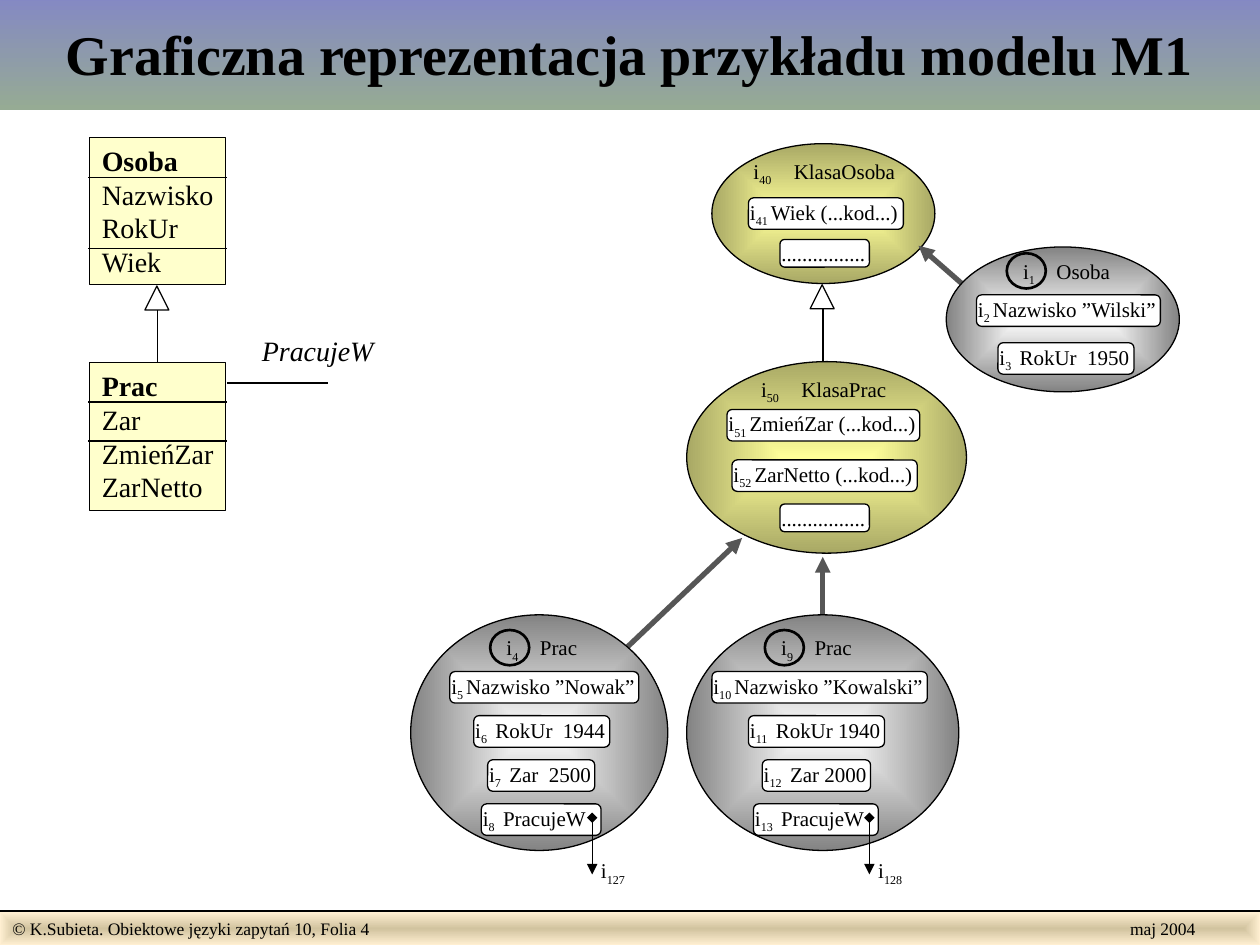
from lxml import etree
from pptx import Presentation
from pptx.dml.color import RGBColor
from pptx.enum.shapes import MSO_CONNECTOR, MSO_SHAPE
from pptx.enum.text import MSO_ANCHOR, MSO_AUTO_SIZE, PP_ALIGN
from pptx.oxml.ns import qn
from pptx.util import Inches, Pt

RECTANGLE, ROUNDED = MSO_SHAPE.RECTANGLE, MSO_SHAPE.ROUNDED_RECTANGLE
OVAL, TRIANGLE = MSO_SHAPE.OVAL, MSO_SHAPE.ISOSCELES_TRIANGLE
STRAIGHT = MSO_CONNECTOR.STRAIGHT
TOP, MIDDLE = MSO_ANCHOR.TOP, MSO_ANCHOR.MIDDLE
FIXED = MSO_AUTO_SIZE.NONE
LEFT, CENTER = PP_ALIGN.LEFT, PP_ALIGN.CENTER

FONT = "Times New Roman"
BLACK, WHITE, GREY, CREAM = "000000", "FFFFFF", "565656", "FFFFCC"
CLASS_COLORS, OBJECT_COLORS = ("FFFF99", "A8A865"), ("FFFFFF", "838383")
DOTS = "................"
SLACK = 0.02


def color(value):
    """Return the colour of a hex string."""
    return RGBColor.from_string(value)


def set_values(target, values):
    """Set each attribute of the target from a dict."""
    for name, value in values.items():
        setattr(target, name, value)


def fill_gradient(shape, colors, angle=None):
    """Fill with two colours, along an angle or outwards from the centre."""
    shape.fill.gradient()
    for stop, value in zip(shape.fill.gradient_stops, colors):
        stop.color.rgb = color(value)
    if angle is not None:
        shape.fill.gradient_angle = angle
        return
    gradient = shape._element.spPr.find(qn("a:gradFill"))
    gradient.remove(gradient.find(qn("a:lin")))
    radial = etree.SubElement(gradient, qn("a:path"), path="rect")
    center = {side: "50000" for side in "ltrb"}
    etree.SubElement(radial, qn("a:fillToRect"), center)


def add_figure(slide, kind, box, fill=None, line=BLACK, width=0.75):
    """Add a preset shape with a plain, two-colour or empty fill."""
    shape = slide.shapes.add_shape(kind, *map(Inches, box))
    shape.shadow.inherit = False
    if fill is None:
        shape.fill.background()
    elif isinstance(fill, tuple):
        fill_gradient(shape, fill)
    else:
        shape.fill.solid()
        shape.fill.fore_color.rgb = color(fill)
    if line is None:
        shape.line.fill.background()
    else:
        shape.line.color.rgb = color(line)
        shape.line.width = Pt(width)
    return shape


def add_text_box(slide, box):
    """Add an empty text box."""
    return slide.shapes.add_textbox(*map(Inches, box))


def write_runs(paragraph, text, size, **font_values):
    """Write text in which every second part between bars is a subscript."""
    for index, part in enumerate(text.split("|")):
        if part:
            run = paragraph.add_run()
            run.text = part
            set_values(run.font, {"name": FONT, "size": Pt(size), **font_values})
            run.font.color.rgb = color(BLACK)
            if index % 2:
                run.font._element.set("baseline", "-25000")


def write_line(shape, text, size=12, margins=(0, 0), **font_values):
    """Write one left-aligned line and return its paragraph."""
    across, down = map(Inches, margins)
    set_values(shape.text_frame, {
        "margin_left": across, "margin_right": 0,
        "margin_top": down, "margin_bottom": down,
        "word_wrap": True, "auto_size": FIXED, "vertical_anchor": TOP})
    paragraph = shape.text_frame.paragraphs[0]
    paragraph.alignment = LEFT
    write_runs(paragraph, text, size, **font_values)
    return paragraph


def add_line(slide, start, end, line=BLACK, width=0.75, head=None, tail=None):
    """Add a straight line with optional arrowheads."""
    points = map(Inches, (*start, *end))
    connector = slide.shapes.add_connector(STRAIGHT, *points)
    connector.line.color.rgb = color(line)
    connector.line.width = Pt(width)
    outline = connector.line._get_or_add_ln()
    for tag, kind in (("a:headEnd", head), ("a:tailEnd", tail)):
        if kind:
            etree.SubElement(outline, qn(tag), type=kind)
    etree.SubElement(connector._element.spPr, qn("a:effectLst"))


def add_inheritance(slide, center, top):
    """Add a hollow triangle with a stem below it."""
    add_line(slide, (center, top + 0.19), (center, top + 0.61), width=1)
    add_figure(slide, TRIANGLE, (center - 0.1, top, 0.19, 0.19), WHITE)


def add_class_box(slide, top, dividers, name, members):
    """Add a class box with its name, members and dividing lines."""
    shape = add_figure(slide, RECTANGLE, (0.71, top, 1.08, 1.17), CREAM)
    write_line(shape, name, 16, (0.1, 0.05), bold=True)
    for member in members:
        paragraph = shape.text_frame.add_paragraph()
        paragraph.alignment = LEFT
        write_runs(paragraph, member, 16)
    for divider in dividers:
        add_line(slide, (0.7, divider), (1.8, divider))


def add_node(slide, oval, colors, caption, rows, ring=False):
    """Add an oval with a numbered caption and rows of fields."""
    add_figure(slide, OVAL, oval, colors)
    number, name, left, top = caption
    box = add_text_box(slide, (left, top, 1.4, 0.23))
    paragraph = write_line(box, f"i|{number}|\t{name}")
    box.text_frame.margin_left = Inches(0.04)
    tabs = etree.SubElement(paragraph._p.get_or_add_pPr(), qn("a:tabLst"))
    position = Inches(0.21 + 0.055 * len(number))
    etree.SubElement(tabs, qn("a:tab"), pos=str(position), algn="l")
    for text, row_left, row_top, width in rows:
        height = 0.22 if text == DOTS else 0.25
        row_box = (row_left, row_top, width + SLACK, height)
        write_line(add_figure(slide, ROUNDED, row_box, WHITE), text)
    if ring:
        add_figure(slide, OVAL, (left - 0.09, top - 0.04, 0.31, 0.28), width=1.5)


def add_pointer(slide, left, number):
    """Add a pointer down to an object identifier."""
    add_line(slide, (left, 6.49), (left, 6.94), head="diamond", tail="triangle")
    write_line(add_text_box(slide, (left + 0.07, 6.81, 0.4, 0.23)), f"i|{number}|")


def add_title(slide, text):
    """Format the title placeholder as the top band."""
    title = slide.shapes.title
    set_values(title, {"left": Inches(0), "top": Inches(-0.03),
                       "width": Inches(10), "height": Inches(0.9)})
    fill_gradient(title, ("8488C4", "96AB94"), 270)
    set_values(title.text_frame, {"auto_size": FIXED, "word_wrap": True,
                                  "vertical_anchor": MIDDLE})
    paragraph = title.text_frame.paragraphs[0]
    paragraph.alignment = CENTER
    write_runs(paragraph, text, 32, bold=True)


def add_footer(slide):
    """Add the bottom band with credit and date."""
    band = add_figure(slide, RECTANGLE, (0, 7.24, 10, 0.26), ("D1C39F", "FFEFD1"), None)
    write_line(band, "© K.Subieta. Obiektowe języki zapytań 10, Folia 4", 10, (0.1, 0.05))
    add_line(slide, (0, 7.23), (10, 7.23), width=1)
    write_line(add_text_box(slide, (8.87, 7.24, 0.72, 0.26)), "maj 2004", 10, (0.1, 0.05))


def main():
    """Build the slide and save it."""
    presentation = Presentation()
    set_values(presentation, {"slide_width": Inches(10), "slide_height": Inches(7.5)})
    slide = presentation.slides.add_slide(presentation.slide_layouts[5])
    add_footer(slide)
    add_title(slide, "Graficzna reprezentacja przykładu modelu M1")

    add_node(slide, (5.65, 1.14, 1.77, 1.11), CLASS_COLORS, ("40", "KlasaOsoba", 5.94, 1.26),
             [("i|41 |Wiek (...kod...)", 5.94, 1.57, 1.21), (DOTS, 6.19, 1.9, 0.69)])
    add_node(slide, (5.45, 2.87, 2.22, 1.52), CLASS_COLORS, ("50", "KlasaPrac", 6, 2.99),
             [("i|51 |ZmieńZar (...kod...)", 5.77, 3.25, 1.51),
              ("i|52 |ZarNetto (...kod...)", 5.81, 3.65, 1.45), (DOTS, 6.19, 4, 0.69)])
    for start, end in (((6.53, 4.42), (6.53, 5.02)), ((5.89, 4.27), (4.9, 5.21)),
                       ((7.29, 1.95), (7.77, 2.37))):
        add_line(slide, start, end, GREY, 3, head="triangle")
    add_inheritance(slide, 6.53, 2.26)

    add_node(slide, (7.51, 1.96, 1.85, 1.15), OBJECT_COLORS, ("1", "Osoba", 8.08, 2.05),
             [("i|2 |Nazwisko ”Wilski”", 7.75, 2.34, 1.44),
              ("i|3 | RokUr  1950", 7.92, 2.72, 1.06)], ring=True)
    employees = (
        ((3.26, 4.88, 2.04, 1.87), ("4", "Prac", 3.98, 5.04), 4.7, "127",
         (("i|5 |Nazwisko ”Nowak”", 3.57, 1.48), ("i|6 | RokUr  1944", 3.76, 1.06),
          ("i|7 | Zar  2500", 3.87, 0.83), ("i|8 | PracujeW", 3.82, 0.93))),
        ((5.45, 4.88, 2.16, 1.87), ("9", "Prac", 6.16, 5.04), 6.9, "128",
         (("i|10 |Nazwisko ”Kowalski”", 5.65, 1.69), ("i|11 | RokUr 1940", 5.94, 1.06),
          ("i|12 | Zar 2000", 6.05, 0.84), ("i|13 | PracujeW", 5.98, 0.97))))
    for oval, caption, pointer, target, fields in employees:
        rows = [(text, left, 5.33 + 0.35 * index, width)
                for index, (text, left, width) in enumerate(fields)]
        add_node(slide, oval, OBJECT_COLORS, caption, rows, ring=True)
        add_pointer(slide, pointer, target)

    add_class_box(slide, 1.09, (1.41, 1.97), "Osoba", ("Nazwisko", "RokUr", "Wiek"))
    add_inheritance(slide, 1.25, 2.27)
    add_class_box(slide, 2.88, (3.19, 3.5), "Prac", ("Zar", "ZmieńZar", "ZarNetto"))
    add_line(slide, (1.8, 3.04), (2.6, 3.04))
    write_line(add_text_box(slide, (1.98, 2.6, 1.08, 0.37)), "PracujeW",
               16, (0.1, 0.05), italic=True)
    presentation.save("out.pptx")


if __name__ == "__main__":
    main()
